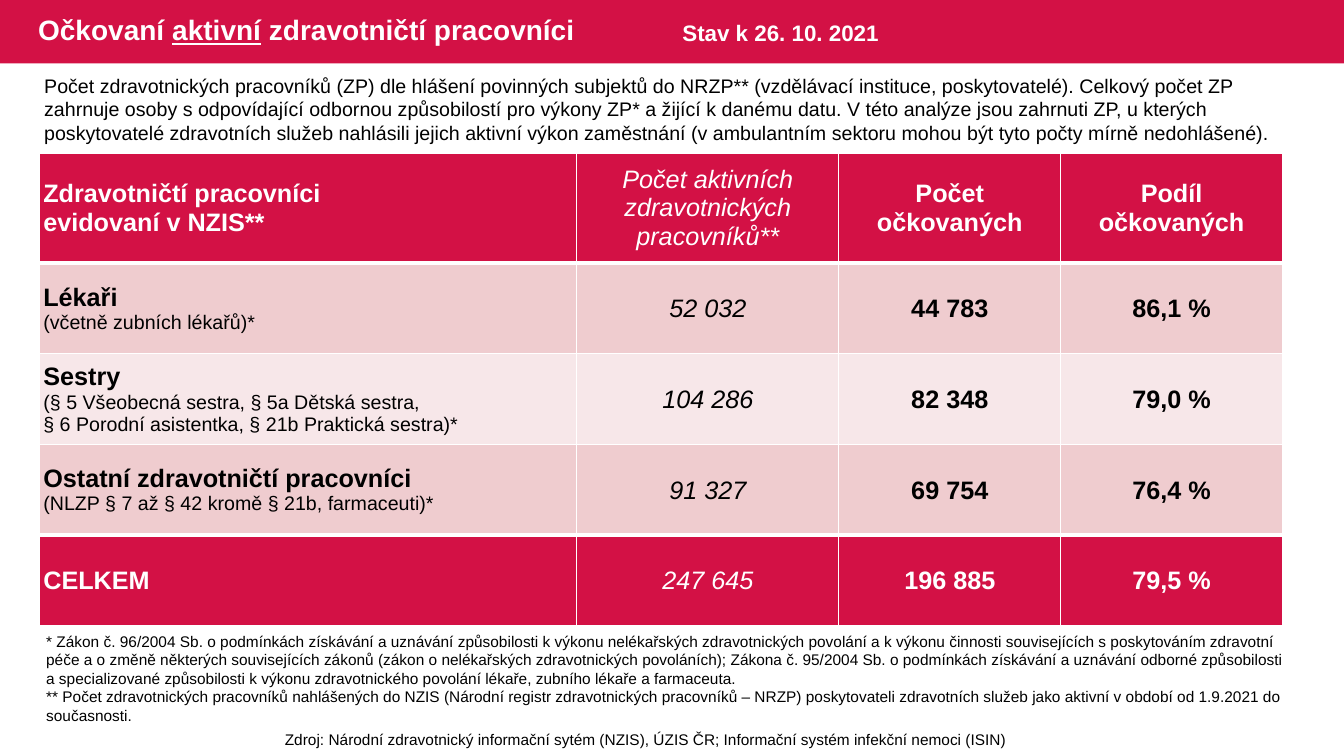
from dataclasses import dataclass

from lxml import etree
from pptx import Presentation
from pptx.dml.color import RGBColor
from pptx.enum.shapes import MSO_SHAPE
from pptx.enum.text import MSO_ANCHOR, PP_ALIGN
from pptx.oxml.ns import qn
from pptx.slide import Slide
from pptx.table import Table, _Cell
from pptx.text.text import TextFrame, _Paragraph
from pptx.util import Inches, Pt

CRIMSON = RGBColor(0xD3, 0x11, 0x45)
ROSE = RGBColor(0xEF, 0xCC, 0xCF)
PALE_ROSE = RGBColor(0xF7, 0xE7, 0xE9)
WHITE = RGBColor(0xFF, 0xFF, 0xFF)
BLACK = RGBColor(0, 0, 0)

LEFT, CENTER = PP_ALIGN.LEFT, PP_ALIGN.CENTER
TOP, MIDDLE = MSO_ANCHOR.TOP, MSO_ANCHOR.MIDDLE
RECTANGLE = MSO_SHAPE.RECTANGLE

FONT = "Arial"
COLUMN_WIDTHS = (5.33, 2.6, 2.2, 2.2)
HEADER_HEIGHT, ROW_HEIGHT = 1.09, 0.9
THIN, THICK = 1, 3


@dataclass(frozen=True)
class Style:
    size: int
    color: RGBColor = BLACK
    bold: bool = False
    italic: bool = False
    align: PP_ALIGN = LEFT


@dataclass(frozen=True)
class TextBlock:
    left: float
    top: float
    width: float
    height: float
    paragraphs: tuple[str, ...]
    style: Style
    anchor: MSO_ANCHOR = TOP


@dataclass(frozen=True)
class StaffRow:
    label: tuple[str, ...]
    figures: tuple[str, str, str]
    fill: RGBColor
    color: RGBColor = BLACK
    label_size: int = 14
    top_border: int = THIN
    bottom_border: int = THIN


TITLE_STYLE = Style(20, WHITE, bold=True)
TITLE_RUNS = (("Očkovaní ", False), ("aktivní", True), (" zdravotničtí pracovníci", False))

TEXT_BLOCKS = (
    TextBlock(0.36, 6.22, 12.53, 1.03, (
        "* Zákon č. 96/2004 Sb. o podmínkách získávání a uznávání způsobilosti k výkonu nelékařských "
        "zdravotnických povolání a k výkonu činnosti souvisejících s poskytováním zdravotní péče a o změně "
        "některých souvisejících zákonů (zákon o nelékařských zdravotnických povoláních); Zákona č. 95/2004 Sb. "
        "o podmínkách získávání a uznávání odborné způsobilosti a specializované způsobilosti k výkonu "
        "zdravotnického povolání lékaře, zubního lékaře a farmaceuta.",
        "** Počet zdravotnických pracovníků nahlášených do NZIS (Národní registr zdravotnických pracovníků – NRZP) "
        "poskytovateli zdravotních služeb jako aktivní v období od 1.9.2021 do současnosti.",
    ), Style(11)),
    TextBlock(0.34, 0.68, 12.64, 0.81, (
        "Počet zdravotnických pracovníků (ZP) dle hlášení povinných subjektů do NRZP** (vzdělávací instituce, "
        "poskytovatelé). Celkový počet ZP zahrnuje osoby s odpovídající odbornou způsobilostí pro výkony ZP* "
        "a žijící k danému datu. V této analýze jsou zahrnuti ZP, u kterých poskytovatelé zdravotních služeb "
        "nahlásili jejich aktivní výkon zaměstnání (v ambulantním sektoru mohou být tyto počty mírně nedohlášené).",
    ), Style(14)),
    TextBlock(6.67, 0.14, 2.2, 0.37, ("Stav k 26. 10. 2021",), Style(16, WHITE, bold=True)),
    TextBlock(1.9, 7.19, 9.06, 0.29, (
        "Zdroj: Národní zdravotnický informační sytém (NZIS), ÚZIS ČR; "
        "Informační systém infekční nemoci (ISIN) ",
    ), Style(11, align=CENTER)),
)

STAFF_ROWS = (
    StaffRow(("Zdravotničtí pracovníci", "evidovaní v NZIS**"),
             ("Počet aktivních zdravotnických pracovníků**", "Počet očkovaných", "Podíl očkovaných"),
             CRIMSON, WHITE, label_size=18, bottom_border=THICK),
    StaffRow(("Lékaři", "(včetně zubních lékařů)*"), ("52 032", "44 783", "86,1 %"), ROSE),
    StaffRow(("Sestry", "(§ 5 Všeobecná sestra, § 5a Dětská sestra,",
              "§ 6 Porodní asistentka, § 21b Praktická sestra)*"),
             ("104 286", "82 348", "79,0 %"), PALE_ROSE),
    StaffRow(("Ostatní zdravotničtí pracovníci", "(NLZP § 7 až § 42 kromě § 21b, farmaceuti)*"),
             ("91 327", "69 754", "76,4 %"), ROSE, bottom_border=THICK),
    StaffRow(("CELKEM",), ("247 645", "196 885", "79,5 %"), CRIMSON, WHITE, top_border=THICK),
)


def apply_style(paragraph: _Paragraph, style: Style) -> None:
    paragraph.alignment = style.align
    font = paragraph.font
    font.name = FONT
    font.size = Pt(style.size)
    font.bold = style.bold
    font.italic = style.italic
    font.color.rgb = style.color


def write_paragraphs(frame: TextFrame, lines: list[tuple[str, Style]]) -> None:
    for index, (text, style) in enumerate(lines):
        paragraph = frame.add_paragraph() if index else frame.paragraphs[0]
        paragraph.add_run().text = text
        apply_style(paragraph, style)


def add_text_block(slide: Slide, block: TextBlock) -> None:
    box = slide.shapes.add_textbox(
        Inches(block.left), Inches(block.top), Inches(block.width), Inches(block.height))
    frame = box.text_frame
    frame.word_wrap = True
    frame.vertical_anchor = block.anchor
    write_paragraphs(frame, [(text, block.style) for text in block.paragraphs])


def add_title(slide: Slide) -> None:
    band = slide.shapes.add_shape(RECTANGLE, 0, 0, Inches(13.33), Inches(0.63))
    band.shadow.inherit = False
    band.fill.solid()
    band.fill.fore_color.rgb = CRIMSON
    band.line.fill.background()

    title = slide.shapes.add_textbox(Inches(0.28), 0, Inches(8.13), Inches(0.63))
    frame = title.text_frame
    frame.word_wrap = True
    frame.vertical_anchor = MIDDLE
    paragraph = frame.paragraphs[0]
    paragraph.line_spacing = 0.9
    for text, underlined in TITLE_RUNS:
        run = paragraph.add_run()
        run.text = text
        run.font.underline = underlined
    apply_style(paragraph, TITLE_STYLE)


def set_borders(cell: _Cell, top: int, bottom: int) -> None:
    properties = cell._tc.get_or_add_tcPr()
    sides = (("a:lnL", THIN), ("a:lnR", THIN), ("a:lnT", top), ("a:lnB", bottom))
    for position, (side, width) in enumerate(sides):
        line = etree.Element(qn(side), w=str(Pt(width)))
        fill = etree.SubElement(line, qn("a:solidFill"))
        etree.SubElement(fill, qn("a:srgbClr"), val=str(WHITE))
        properties.insert(position, line)


def fill_row(table: Table, index: int, row: StaffRow) -> None:
    heading = Style(18, row.color, bold=True)
    detail = Style(row.label_size, row.color, bold=row.label_size == heading.size)
    label_lines = [(text, detail if i else heading) for i, text in enumerate(row.label)]
    active = Style(18, row.color, italic=True, align=CENTER)
    vaccinated = Style(18, row.color, bold=True, align=CENTER)
    figure_lines = [[pair] for pair in zip(row.figures, (active, vaccinated, vaccinated))]

    for column, lines in enumerate([label_lines, *figure_lines]):
        cell = table.cell(index, column)
        is_figure = index > 0 and column > 0
        cell.margin_left = cell.margin_right = Inches(0.01 if is_figure else 0.04)
        cell.margin_top = Inches(0.01 if is_figure else 0)
        cell.margin_bottom = 0
        cell.vertical_anchor = MIDDLE
        cell.fill.solid()
        cell.fill.fore_color.rgb = row.fill
        set_borders(cell, row.top_border, row.bottom_border)
        write_paragraphs(cell.text_frame, lines)


def add_staff_table(slide: Slide) -> None:
    heights = [HEADER_HEIGHT] + [ROW_HEIGHT] * (len(STAFF_ROWS) - 1)
    table = slide.shapes.add_table(
        len(heights), len(COLUMN_WIDTHS), Inches(0.39), Inches(1.52),
        Inches(sum(COLUMN_WIDTHS)), Inches(sum(heights))).table
    for column, width in zip(table.columns, COLUMN_WIDTHS):
        column.width = Inches(width)
    for index, (row, height) in enumerate(zip(STAFF_ROWS, heights)):
        table.rows[index].height = Inches(height)
        fill_row(table, index, row)


def main() -> None:
    presentation = Presentation()
    presentation.slide_width = Inches(13.33)
    presentation.slide_height = Inches(7.5)
    slide = presentation.slides.add_slide(presentation.slide_layouts[6])
    add_title(slide)
    add_staff_table(slide)
    for block in TEXT_BLOCKS:
        add_text_block(slide, block)
    presentation.save("out.pptx")


if __name__ == "__main__":
    main()
